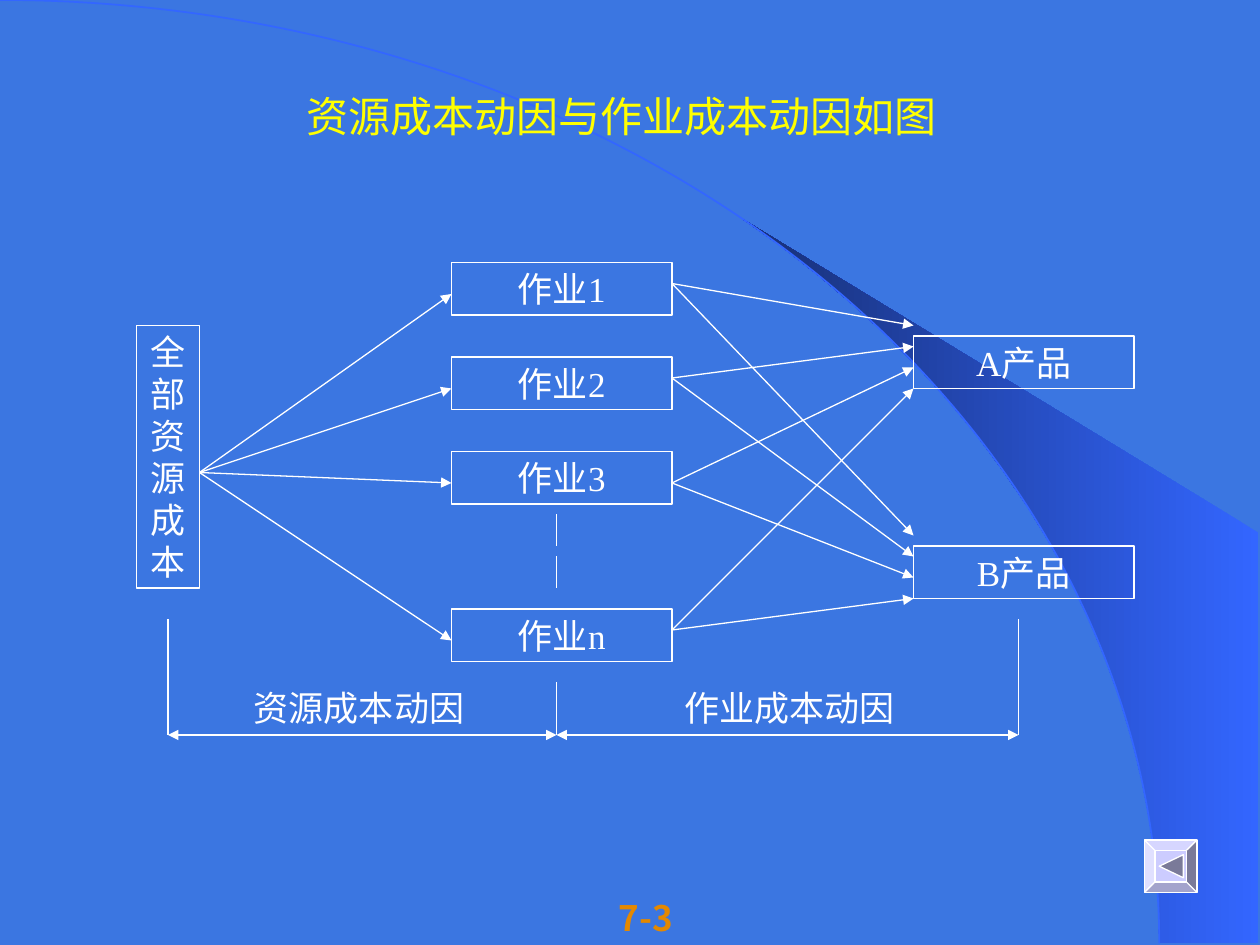
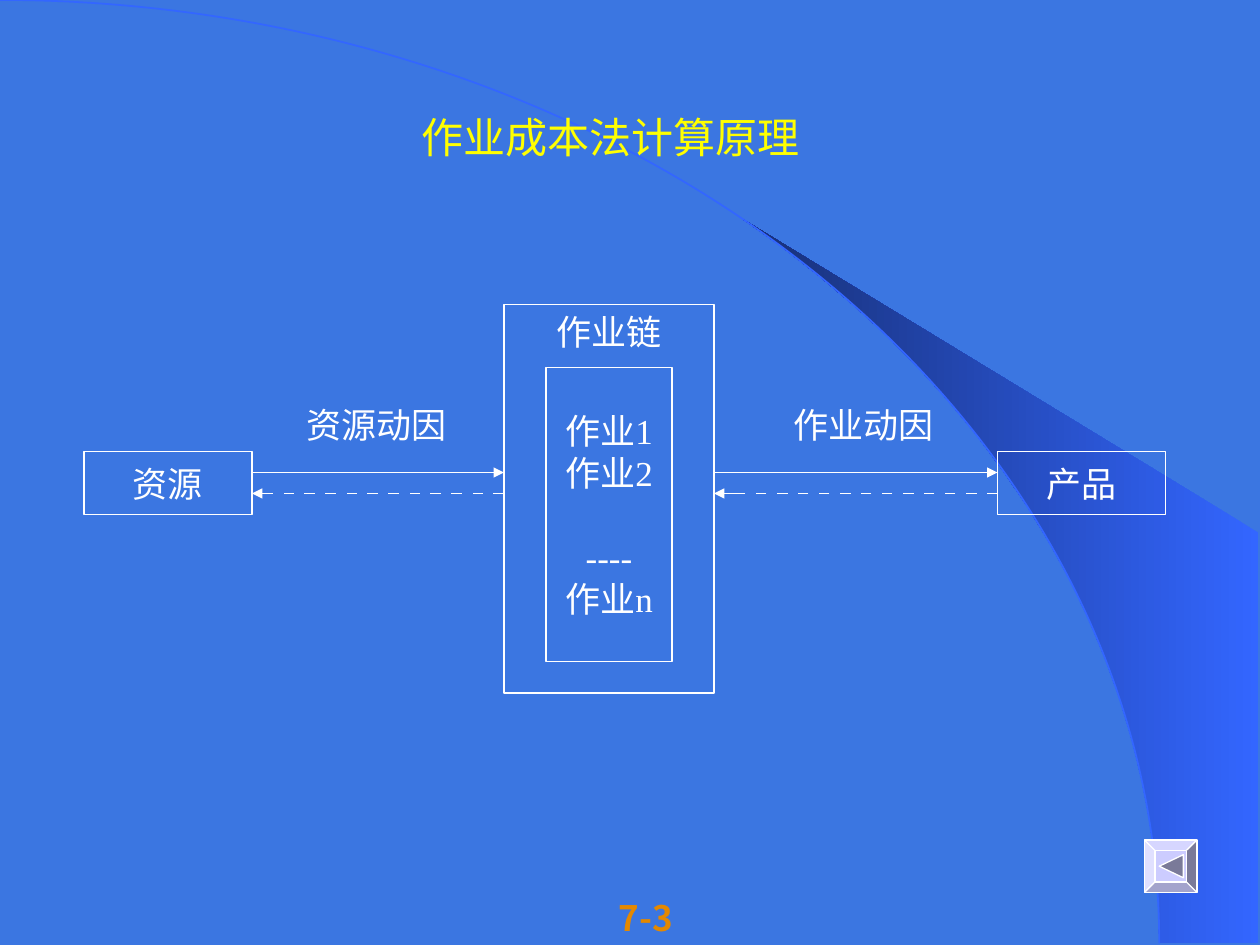
from math import cos, radians, sin

from lxml.etree import SubElement
from pptx import Presentation
from pptx.dml.color import RGBColor
from pptx.enum.shapes import MSO_CONNECTOR, MSO_SHAPE
from pptx.enum.text import MSO_ANCHOR, MSO_AUTO_SIZE, PP_ALIGN
from pptx.oxml.ns import qn
from pptx.util import Cm, Pt

LEFT, CENTER = PP_ALIGN.LEFT, PP_ALIGN.CENTER
TOP, MIDDLE = MSO_ANCHOR.TOP, MSO_ANCHOR.MIDDLE
NO_AUTOFIT = MSO_AUTO_SIZE.NONE
STRAIGHT = MSO_CONNECTOR.STRAIGHT
RECTANGLE, ARC, BEVEL = MSO_SHAPE.RECTANGLE, MSO_SHAPE.ARC, MSO_SHAPE.BEVEL

THEME = {
    "background": RGBColor.from_string("3B76E1"),
    "bright": RGBColor.from_string("3366FF"),
    "deep": RGBColor.from_string("172F75"),
    "line": RGBColor.from_string("FFFFFF"),
    "button": RGBColor.from_string("CCCCFF"),
    "button arrow": RGBColor.from_string("7A7A99"),
    "east asian": "Noto Sans CJK SC",
    "line width": Pt(0.75),
    "title": {"name": "Times New Roman", "size": Pt(24), "bold": False},
    "body": {"name": "Times New Roman", "size": Pt(20), "bold": False},
    "page": {"name": "Noto Sans CJK SC", "size": Pt(20), "bold": True},
    "text colors": {
        "title": RGBColor.from_string("FFFF00"),
        "body": RGBColor.from_string("FFFFFF"),
        "page": RGBColor.from_string("E48800"),
    },
}
# Everything on the slides sits on a grid of twelve steps to 2.54 cm.
GRID = Cm(2.54) // 12


def write_text(shape, lines, style="body", anchor=MIDDLE, alignment=CENTER, wrap=False):
    frame = shape.text_frame
    frame_format = {
        "auto_size": NO_AUTOFIT, "word_wrap": wrap, "vertical_anchor": anchor,
        "margin_left": Cm(0.25), "margin_right": Cm(0.25),
        "margin_top": Cm(0.13), "margin_bottom": Cm(0.13),
    }
    for key, value in frame_format.items():
        setattr(frame, key, value)
    frame.text = "\n".join(lines)
    for paragraph in frame.paragraphs:
        paragraph.alignment = alignment
        paragraph.line_spacing = Pt(THEME[style]["size"].pt * 1.2)
        for run in paragraph.runs:
            for key, value in THEME[style].items():
                setattr(run.font, key, value)
            run.font.color.rgb = THEME["text colors"][style]
            SubElement(run._r.get_or_add_rPr(), qn("a:ea"), typeface=THEME["east asian"])


def add_line(slide, start, end, heads=()):
    """Join two grid points; heads names the ends that carry an arrowhead."""
    connector = slide.shapes.add_connector(STRAIGHT, *(value * GRID for value in start + end))
    connector.line.color.rgb = THEME["line"]
    connector.line.width = THEME["line width"]
    properties = connector.element.spPr
    outline = properties.find(qn("a:ln"))
    for head in heads:
        SubElement(outline, qn(f"a:{head}"), type="triangle")
    SubElement(properties, qn("a:effectLst"))


presentation = Presentation()
presentation.slide_width, presentation.slide_height = Cm(25.4), Cm(19.05)
master = presentation.slide_master
master.background.fill.solid()
master.background.fill.fore_color.rgb = THEME["background"]

ACTIVITY_TOPS = (25, 34, 43, 58)
LABEL_HEIGHT = 5.25
slide_contents = [
    {
        "title": ("资源成本动因与作业成本动因如图", (28, 8, 65, 6), LEFT),
        "boxes": [
            (list("全部资源成本"), (13, 31, 6, 25), MIDDLE),
            *((["作业" + name], (43, top, 21, 5), MIDDLE)
              for name, top in zip("123n", ACTIVITY_TOPS)),
            (["A产品"], (87, 32, 21, 5), MIDDLE),
            (["B产品"], (87, 52, 21, 5), MIDDLE),
        ],
        "labels": [
            ("资源成本动因", (23, 64.8, 22.4, LABEL_HEIGHT)),
            ("作业成本动因", (64, 64.8, 22.4, LABEL_HEIGHT)),
        ],
    },
    {
        "title": ("作业成本法计算原理", (37, 10, 42.25, 6), CENTER),
        "boxes": [
            (["资源"], (8, 43, 16, 6), MIDDLE),
            (["产品"], (95, 43, 16, 6), MIDDLE),
            (["作业链"], (48, 29, 20, 37), TOP),
            (["作业1", "作业2", "----", "作业n"], (52, 35, 12, 28), MIDDLE),
        ],
        "labels": [
            ("资源动因", (28, 37.8, 15.7, LABEL_HEIGHT)),
            ("作业动因", (74.4, 37.8, 15.7, LABEL_HEIGHT)),
        ],
    },
]

slides = []
for content in slide_contents:
    slide = presentation.slides.add_slide(presentation.slide_layouts[5])
    slides.append(slide)

    title_text, area, alignment = content["title"]
    title = slide.shapes.title
    for key, value in zip(("left", "top", "width", "height"), area):
        setattr(title, key, int(value * GRID))
    write_text(title, [title_text], "title", TOP, alignment, True)

    for lines, area, anchor in content["boxes"]:
        box = slide.shapes.add_shape(RECTANGLE, *(value * GRID for value in area))
        box.shadow.inherit = False
        box.fill.background()
        box.line.color.rgb = THEME["line"]
        box.line.width = THEME["line width"]
        write_text(box, lines, anchor=anchor)
        for paragraph in box.text_frame.paragraphs:
            if paragraph.text == "----":
                paragraph.space_before = Pt(24)

    for label_text, area in content["labels"]:
        label = slide.shapes.add_textbox(*(int(value * GRID) for value in area))
        write_text(label, [label_text], anchor=TOP)

    back_button = slide.shapes.add_shape(BEVEL, 109 * GRID, 80 * GRID, 5 * GRID, 5 * GRID)
    back_button.adjustments[0] = 0.2
    builder = slide.shapes.build_freeform(1104, 825, scale=GRID / 10)
    builder.add_line_segments([(1127, 814), (1127, 836)], close=True)
    back_arrow = builder.convert_to_shape()
    for shape, color in ((back_button, "button"), (back_arrow, "button arrow")):
        shape.shadow.inherit = False
        shape.fill.solid()
        shape.fill.fore_color.rgb = THEME[color]
        shape.line.color.rgb = THEME["line"]
        shape.line.width = THEME["line width"]

    page_label = slide.shapes.add_textbox(54 * GRID, Cm(17.94), 15 * GRID, Cm(1.12))
    write_text(page_label, ["7-3"], "page", TOP, wrap=True)

drivers, principle = slides

# Resources feed every activity, and every activity feeds both products.
for end_y in (28, 37, 46, 61):
    add_line(drivers, (19, 45), (43, end_y), ["tailEnd"])
for row, start_y in enumerate((27, 36, 46, 60)):
    for first_y in (31, 51):
        add_line(drivers, (64, start_y), (87, first_y + 2 * row), ["tailEnd"])
for x, top, bottom in ((53, 49, 52), (53, 53, 56), (16, 59, 70), (53, 65, 70), (97, 59, 70)):
    add_line(drivers, (x, top), (x, bottom))
for left, right in ((16, 53), (53, 97)):
    add_line(drivers, (left, 70), (right, 70), ["headEnd", "tailEnd"])

# Solid arrows run forward; dashes of one grid step lead back to an arrow.
for left, arrow_start, right in ((24, 26, 48), (68, 71, 95)):
    add_line(principle, (left, 45), (right, 45), ["tailEnd"])
    for dash_start in range(right, arrow_start, -2):
        add_line(principle, (dash_start, 47), (dash_start - 1, 47))
    add_line(principle, (arrow_start, 47), (left, 47), ["tailEnd"])

# The master carries an elliptical arc and a shaded band that follows it.
RADIUS_X, RADIUS_Y = 2337, 1902  # hundredths of a centimetre
BAND_RIGHT, BAND_CORNER_Y = 2537, 1074
edge = []
for step in range(21):
    angle = radians(39.8 + 50.2 * step / 20)
    edge.append((RADIUS_X * sin(angle), RADIUS_Y * (1 - cos(angle))))
builder = drivers.shapes.build_freeform(*edge[0], scale=Cm(0.01))
builder.add_line_segments(
    edge[1:] + [(BAND_RIGHT, RADIUS_Y), (BAND_RIGHT, BAND_CORNER_Y)], close=True)
band = builder.convert_to_shape()
band.fill.gradient()
band.fill.gradient_angle = 180
for stop, color in zip(band.fill.gradient_stops, ("bright", "deep")):
    stop.color.rgb = THEME[color]
band.line.fill.background()

arc = drivers.shapes.add_shape(ARC, Cm(-23.37), 0, Cm(46.74), Cm(38.04))
arc.fill.background()
arc.line.color.rgb = THEME["bright"]
arc.line.width = Pt(1)

for order, shape in enumerate((band, arc)):
    shape.shadow.inherit = False
    shape.element.nvSpPr.cNvPr.id = 101 + order
    master.shapes.element.insert(2 + order, shape.element)

presentation.save("out.pptx")
